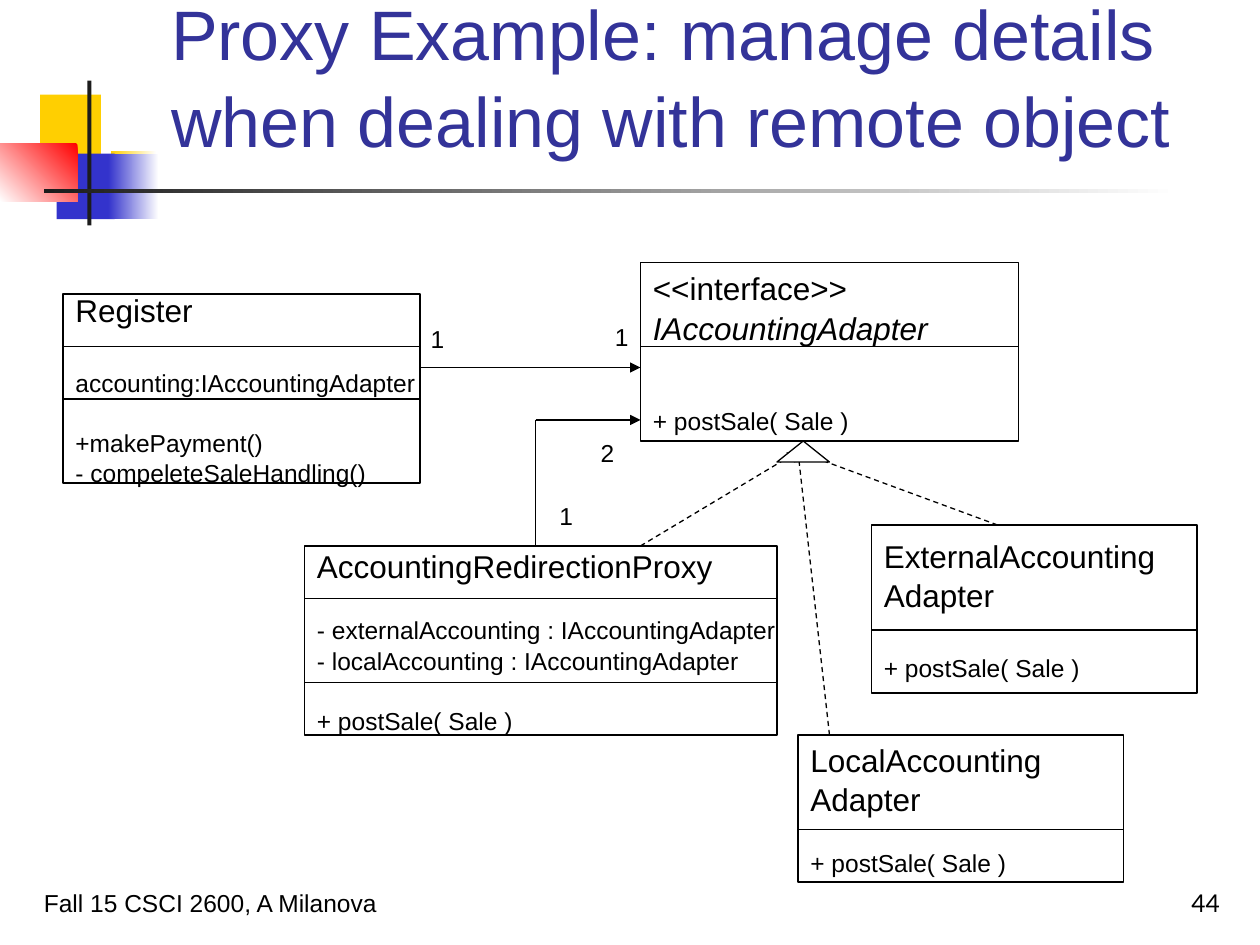
from dataclasses import dataclass

from lxml import etree
from pptx import Presentation
from pptx.dml.color import RGBColor
from pptx.enum.dml import MSO_LINE
from pptx.enum.shapes import MSO_CONNECTOR, MSO_SHAPE
from pptx.enum.text import MSO_ANCHOR, PP_ALIGN
from pptx.oxml.ns import qn
from pptx.util import Pt

RECTANGLE, TRIANGLE = MSO_SHAPE.RECTANGLE, MSO_SHAPE.ISOSCELES_TRIANGLE
STRAIGHT, DASH = MSO_CONNECTOR.STRAIGHT, MSO_LINE.DASH
TOP, MIDDLE, BOTTOM = MSO_ANCHOR.TOP, MSO_ANCHOR.MIDDLE, MSO_ANCHOR.BOTTOM
LEFT, RIGHT = PP_ALIGN.LEFT, PP_ALIGN.RIGHT

COLORS = {
    "black": "000000",
    "white": "FFFFFF",
    "title": "333399",
    "yellow": "FFCF01",
    "blue": "3333CC",
    "red": "FF0000",
    "charcoal": "1C1C1C",
}
NAME_SIZE, MEMBER_SIZE = 18, 14
LINE_SPACING = 1.04
LINE_WIDTH = 0.75
NAME_GAP, MEMBER_GAP = 21.6, 16.8  # height of one skipped line


@dataclass
class Block:
    """A rectangle of the corner decoration; two colours make a gradient."""
    left: float
    top: float
    width: float
    height: float
    colors: tuple[str, ...]
    angle: float = 180


@dataclass
class Row:
    text: str
    size: float = MEMBER_SIZE
    gap: float = 0
    italic: bool = False


@dataclass
class ClassBox:
    left: float
    top: float
    width: float
    height: float
    dividers: tuple[float, ...]
    rows: tuple[Row, ...]


@dataclass
class Link:
    start: tuple[float, float]
    end: tuple[float, float]
    arrow: bool = True
    dashed: bool = False


@dataclass
class Label:
    text: str
    left: float
    top: float
    width: float = 22.3
    height: float = 24.5
    size: float = 14
    color: str = "black"
    font: str = "Arial"
    anchor: MSO_ANCHOR = TOP
    align: PP_ALIGN = LEFT
    wrap: bool = False


DECORATION = [
    Block(23, 54, 34.6, 37.4, ("yellow",)),
    Block(63.4, 86.4, 25.9, 37.4, ("white", "yellow")),
    Block(32.4, 87.8, 33.1, 37.4, ("blue",)),
    Block(61.9, 87.8, 28.8, 37.4, ("white", "blue")),
    Block(0, 82.1, 44.3, 33.1, ("red", "white"), 225),
    Block(49.9, 46, 2.4, 82.8, ("charcoal",)),
    Block(25.2, 108, 648, 2.2, ("white", "charcoal")),
]

TEXTS = [
    Label("Proxy Example: manage details when dealing with remote object",
          90.7, 16.6, 613.4, 79.2, 40, "title", anchor=BOTTOM, wrap=True),
    Label("Fall 15 CSCI 2600, A Milanova", 18, 491.8, 372.2, 36,
          anchor=BOTTOM, wrap=True),
    Label("44", 554.4, 491.8, 149.8, 36, font="Lato",
          anchor=BOTTOM, align=RIGHT, wrap=True),
]

MULTIPLICITIES = [
    Label("1", 239, 180.7),
    Label("1", 344.2, 180),
    Label("1", 312.5, 282.2),
    Label("2", 336.2, 246.2),
]

POST_SALE = "+ postSale( Sale )"
CLASSES = [
    ClassBox(36, 168, 204, 108, (198, 228), (
        Row("Register", NAME_SIZE),
        Row("accounting:IAccountingAdapter", gap=NAME_GAP),
        Row("+makePayment()", gap=MEMBER_GAP),
        Row("- compeleteSaleHandling()"))),
    ClassBox(366, 150, 216, 102, (198,), (
        Row("<<interface>>", NAME_SIZE),
        Row("IAccountingAdapter", NAME_SIZE, italic=True),
        Row(POST_SALE, gap=2 * MEMBER_GAP))),
    ClassBox(174, 312, 270, 108, (342, 390), (
        Row("AccountingRedirectionProxy", NAME_SIZE),
        Row("- externalAccounting : IAccountingAdapter", gap=MEMBER_GAP),
        Row("- localAccounting : IAccountingAdapter"),
        Row(POST_SALE, gap=MEMBER_GAP))),
    ClassBox(498, 300, 186, 96, (360,), (
        Row("ExternalAccounting\vAdapter", NAME_SIZE),
        Row(POST_SALE, gap=NAME_GAP))),
    ClassBox(456, 420, 186, 84, (474,), (
        Row("LocalAccounting\vAdapter", NAME_SIZE),
        Row(POST_SALE, gap=MEMBER_GAP))),
]

INHERITANCE = (456, 258)
LINKS = [
    Link((240, 210), (366, 210)),
    Link((306, 240), (366, 240)),
    Link((306, 240), (306, 312), arrow=False),
    Link((366, 312), INHERITANCE, dashed=True),
    Link((570, 300), INHERITANCE, dashed=True),
    Link((474, 420), INHERITANCE, dashed=True),
]


def rgb(name: str) -> RGBColor:
    return RGBColor.from_string(COLORS[name])


def add_outline(shapes, kind, left: float, top: float, width: float, height: float):
    shape = shapes.add_shape(kind, Pt(left), Pt(top), Pt(width), Pt(height))
    shape.shadow.inherit = False
    shape.line.color.rgb = rgb("black")
    shape.line.width = Pt(LINE_WIDTH)
    return shape


def style(paragraph, size: float, color: str = "black", font: str = "Arial") -> None:
    paragraph.line_spacing = LINE_SPACING
    paragraph.font.size = Pt(size)
    paragraph.font.name = font
    paragraph.font.color.rgb = rgb(color)


def draw_block(shapes, block: Block) -> None:
    shape = add_outline(shapes, RECTANGLE, block.left, block.top, block.width, block.height)
    shape.line.fill.background()
    if len(block.colors) == 1:
        shape.fill.solid()
        shape.fill.fore_color.rgb = rgb(block.colors[0])
        return
    shape.fill.gradient()
    shape.fill.gradient_angle = block.angle
    for stop, color in zip(shape.fill.gradient_stops, block.colors):
        stop.color.rgb = rgb(color)


def draw_label(shapes, label: Label) -> None:
    box = shapes.add_textbox(Pt(label.left), Pt(label.top), Pt(label.width), Pt(label.height))
    frame = box.text_frame
    frame.word_wrap = label.wrap
    frame.vertical_anchor = label.anchor
    paragraph = frame.paragraphs[0]
    paragraph.text = label.text
    paragraph.alignment = label.align
    style(paragraph, label.size, label.color, label.font)


def draw_link(shapes, link: Link) -> None:
    line = shapes.add_connector(STRAIGHT, *(Pt(v) for v in link.start + link.end))
    line.line.color.rgb = rgb("black")
    line.line.width = Pt(LINE_WIDTH)
    if link.dashed:
        line.line.dash_style = DASH
    if link.arrow:
        etree.SubElement(line.line._get_or_add_ln(), qn("a:tailEnd"), type="triangle")
    etree.SubElement(line._element.spPr, qn("a:effectLst"))


def draw_class(shapes, box: ClassBox) -> None:
    shape = add_outline(shapes, RECTANGLE, box.left, box.top, box.width, box.height)
    shape.fill.background()
    frame = shape.text_frame
    frame.word_wrap = False
    frame.vertical_anchor = MIDDLE
    for index, row in enumerate(box.rows):
        paragraph = frame.add_paragraph() if index else frame.paragraphs[0]
        paragraph.text = row.text
        paragraph.alignment = LEFT
        paragraph.space_before = Pt(row.gap)
        style(paragraph, row.size)
        paragraph.font.italic = row.italic
    for y in box.dividers:
        draw_link(shapes, Link((box.left, y), (box.left + box.width, y), arrow=False))


def main() -> None:
    deck = Presentation()
    deck.slide_width, deck.slide_height = Pt(720), Pt(540)
    shapes = deck.slides.add_slide(deck.slide_layouts[6]).shapes

    # Corner decoration, title and footer
    for block in DECORATION:
        draw_block(shapes, block)
    for text in TEXTS:
        draw_label(shapes, text)

    # Class diagram
    for box in CLASSES:
        draw_class(shapes, box)
    for link in LINKS:
        draw_link(shapes, link)
    for multiplicity in MULTIPLICITIES:
        draw_label(shapes, multiplicity)

    # Inheritance triangle covers the ends of the dashed lines
    triangle = add_outline(shapes, TRIANGLE, 444, 252, 30, 12)
    triangle.fill.solid()
    triangle.fill.fore_color.rgb = rgb("white")

    deck.save("out.pptx")


if __name__ == "__main__":
    main()
